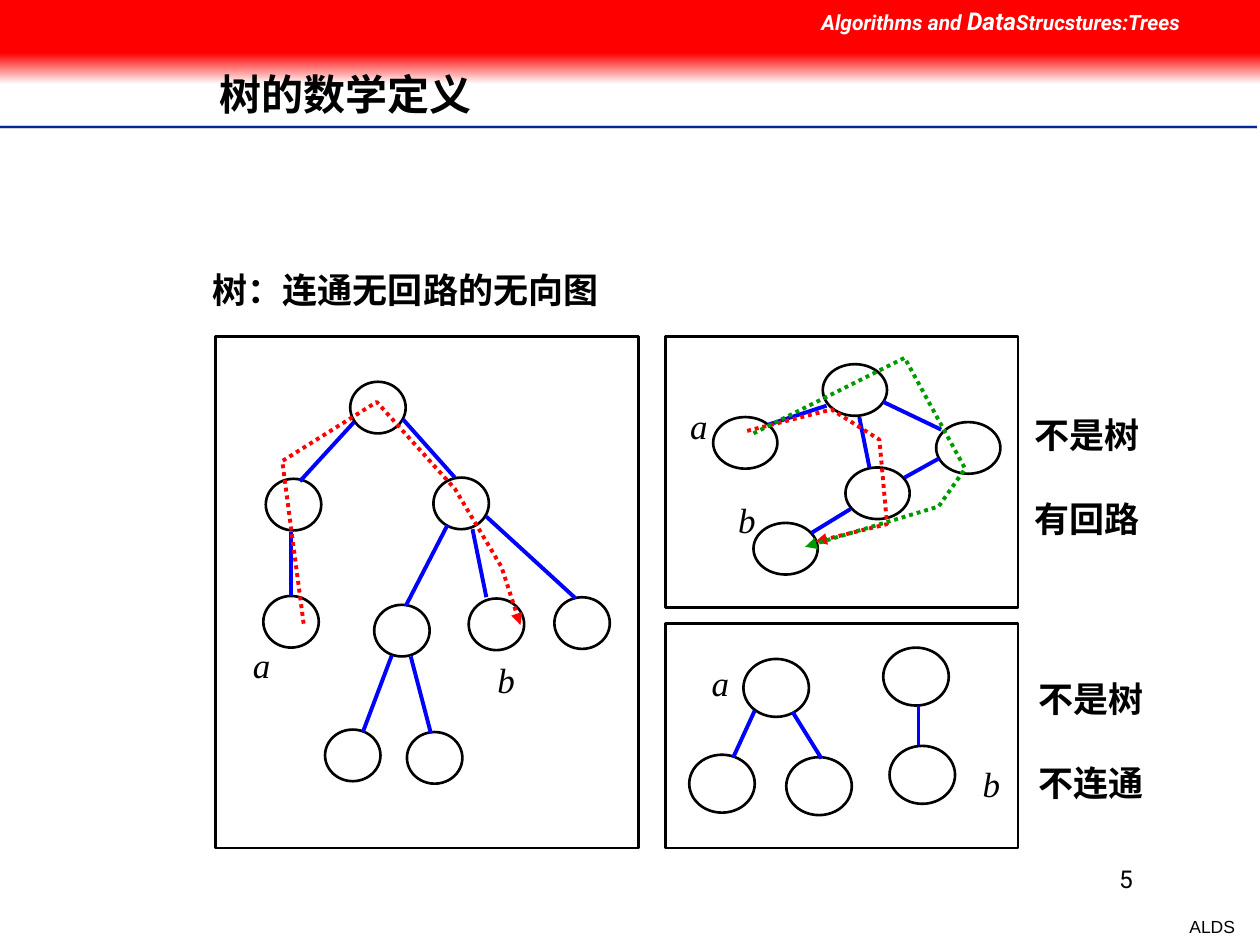
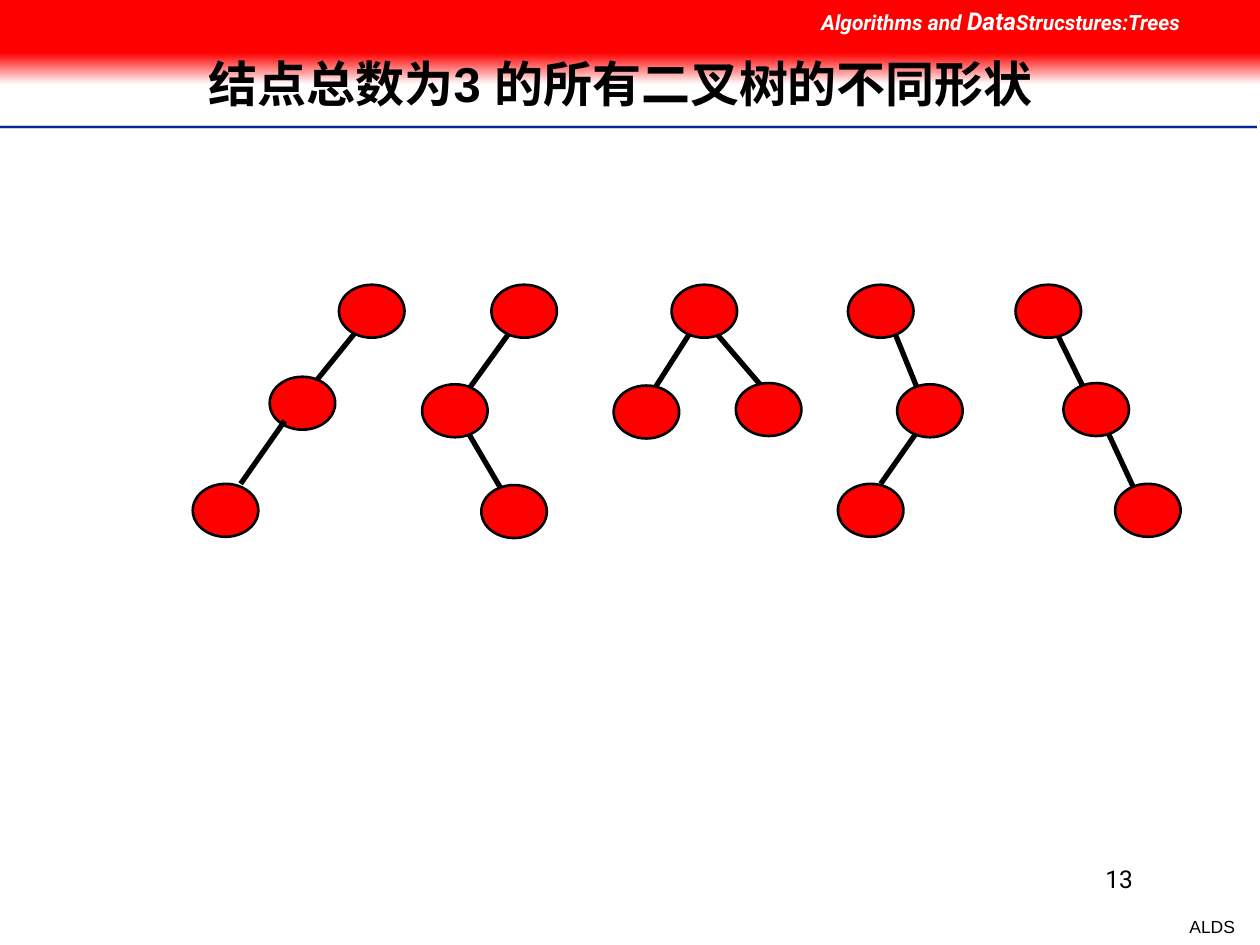
from dataclasses import dataclass
from typing import NamedTuple

from lxml.etree import SubElement
from pptx import Presentation
from pptx.dml.color import RGBColor
from pptx.enum.dml import MSO_LINE
from pptx.enum.shapes import MSO_CONNECTOR as Link, MSO_SHAPE as Preset
from pptx.enum.text import MSO_ANCHOR as Anchor, MSO_AUTO_SIZE as AutoSize, PP_ALIGN as Align
from pptx.oxml.ns import qn
from pptx.util import Cm, Pt

BLACK, WHITE, RED, BLUE, GREEN = "000000", "FFFFFF", "FF0000", "0000FF", "009900"
RULE_BLUE, RULE_GREY = "00279F", "CECECE"
SANS, SERIF, HEADER_FONT = "Arial", "Times New Roman", "Roboto"
WIDTH, HEIGHT = 10, 7.5

Point = tuple[float, float]
Box = tuple[float, float, float, float]


class Edge(NamedTuple):
    x1: float
    y1: float
    x2: float
    y2: float


class Run(NamedTuple):
    text: str
    size: float


@dataclass
class Label:
    box: Box
    lines: list[list[Run]]
    font: str = SANS
    color: str = BLACK
    bold: bool = False
    italic: bool = False
    align: Align = Align.LEFT
    anchor: Anchor = Anchor.TOP
    wrap: bool = True
    grow: bool = False
    inset: Point = (0.1, 0.05)
    line_spacing: float | None = None
    gap: float = 0


@dataclass
class Graph:
    node_size: Point
    nodes: list[Point]
    edges: list[Edge]
    edge_color: str = BLUE
    edge_width: float = 2.25
    node_fill: str | None = None


@dataclass
class Walk:
    color: str
    points: list[Point]


def rgb(color: str) -> RGBColor:
    return RGBColor.from_string(color)


def inch(value: float) -> Cm:
    return Cm(value * 2.54)


# Drawing helpers
def draw_shape(slide, preset: Preset, box: Box, fill: str | None = None,
               outline: str | None = BLACK):
    shape = slide.shapes.add_shape(preset, *map(inch, box))
    shape.shadow.inherit = False
    if fill:
        shape.fill.solid()
        shape.fill.fore_color.rgb = rgb(fill)
    else:
        shape.fill.background()
    if outline:
        shape.line.color.rgb = rgb(outline)
        shape.line.width = Pt(1.5)
    else:
        shape.line.fill.background()
    return shape


def draw_edge(slide, edge: Edge, color: str, width: float) -> None:
    line = slide.shapes.add_connector(Link.STRAIGHT, *map(inch, edge))
    line.line.color.rgb = rgb(color)
    line.line.width = Pt(width)
    SubElement(line._element.spPr, qn("a:effectLst"))


def draw_label(slide, label: Label) -> None:
    frame = slide.shapes.add_textbox(*map(inch, label.box)).text_frame
    frame.word_wrap = label.wrap
    frame.auto_size = AutoSize.SHAPE_TO_FIT_TEXT if label.grow else AutoSize.NONE
    frame.vertical_anchor = label.anchor
    frame.margin_left = frame.margin_right = inch(label.inset[0])
    frame.margin_top = frame.margin_bottom = inch(label.inset[1])
    for index, runs in enumerate(label.lines):
        paragraph = frame.add_paragraph() if index else frame.paragraphs[0]
        paragraph.alignment = label.align
        if label.line_spacing:
            paragraph.line_spacing = label.line_spacing
        if index:
            paragraph.space_before = Pt(label.gap)
        font = paragraph.font
        font.name, font.bold, font.italic = label.font, label.bold, label.italic
        font.color.rgb = rgb(label.color)
        same_size = len({run.size for run in runs}) == 1
        if same_size:
            font.size = Pt(runs[0].size)
        for text, size in runs:
            run = paragraph.add_run()
            run.text = text
            if not same_size:
                run.font.size = Pt(size)


def draw_nodes(slide, graph: Graph) -> None:
    for node in graph.nodes:
        draw_shape(slide, Preset.OVAL, (*node, *graph.node_size), graph.node_fill)


def draw_edges(slide, graph: Graph) -> None:
    for edge in graph.edges:
        draw_edge(slide, edge, graph.edge_color, graph.edge_width)


def draw_walk(slide, walk: Walk) -> None:
    start, *rest = [(inch(x), inch(y)) for x, y in walk.points]
    builder = slide.shapes.build_freeform(*start)
    builder.add_line_segments(rest, close=False)
    route = builder.convert_to_shape()
    route.shadow.inherit = False
    route.fill.background()
    route.line.color.rgb = rgb(walk.color)
    route.line.width = Pt(2.25)
    route.line.dash_style = MSO_LINE.ROUND_DOT
    SubElement(route.line._get_or_add_ln(), qn("a:tailEnd"), type="triangle")


def letter(text: str, left: float, top: float) -> Label:
    return Label((left, top, 0.34, 0.44), [[Run(text, 20)]], font=SERIF,
                 italic=True, wrap=False, grow=True)


def verdict(left: float, top: float, *lines: str) -> Label:
    return Label((left, top, 1.1, 1.1), [[Run(line, 20)] for line in lines],
                 font=SERIF, bold=True, grow=True, gap=24)


def title(text: str, box: Box, size: float, inset: Point) -> Label:
    return Label(box, [[Run(text, size)]], bold=True, anchor=Anchor.MIDDLE,
                 inset=inset, line_spacing=0.9)


# Rules, footer, page number and header band shared by all slides
def add_base_slide(deck, number: int):
    slide = deck.slides.add_slide(deck.slide_layouts[6])
    for y, color, width in ((1.01, RULE_GREY, 2), (1.01, RULE_BLUE, 1), (1.03, WHITE, 1)):
        draw_edge(slide, Edge(0, y, 9.98, y), color, width)
    draw_label(slide, Label((9.34, 7.22, 0.56, 0.27), [[Run("ALDS", 10)]],
                            align=Align.RIGHT, wrap=False, grow=True))
    draw_label(slide, Label((7.17, 6.81, 1.92, 0.5), [[Run(str(number), 14)]],
                            font=HEADER_FONT, align=Align.RIGHT))
    fade = draw_shape(slide, Preset.RECTANGLE, (0, 0.42, WIDTH, 0.25), outline=None).fill
    fade.gradient()
    fade.gradient_angle = 270
    for stop, color in zip(fade.gradient_stops, (RED, WHITE)):
        stop.color.rgb = rgb(color)
    draw_shape(slide, Preset.RECTANGLE, (0, 0, WIDTH, 0.42), RED, outline=None)
    course = [Run("Algorithms and ", 12), Run("Data", 14), Run("Strucstures:Trees", 12)]
    draw_label(slide, Label((6.42, 0, 3.58, 0.34), [course], font=HEADER_FONT,
                            color=WHITE, bold=True, italic=True, grow=True))
    return slide


# Definition slide: a tree, a graph with a cycle, a disconnected graph
TREE = Graph(
    (0.44, 0.41),
    [(2.78, 3.03), (2.11, 3.8), (3.44, 3.79), (2.09, 4.73), (2.97, 4.8),
     (2.58, 5.79), (3.72, 4.75), (4.4, 4.74), (3.23, 5.81)],
    [Edge(2.81, 3.35, 2.38, 3.82), Edge(2.31, 4.22, 2.31, 4.73),
     Edge(3.2, 3.33, 3.61, 3.79), Edge(3.55, 4.17, 3.22, 4.81),
     Edge(3.75, 4.2, 3.86, 4.74), Edge(3.86, 4.1, 4.57, 4.75),
     Edge(3.26, 5.21, 3.42, 5.82), Edge(3.11, 5.2, 2.88, 5.81)])
CYCLIC = Graph(
    (0.51, 0.41),
    [(6.53, 2.89), (5.66, 3.31), (7.43, 3.35), (5.98, 4.15), (6.71, 3.71)],
    [Edge(6.56, 3.22, 6.1, 3.37), Edge(6.75, 4.04, 6.44, 4.23),
     Edge(7.01, 3.19, 7.47, 3.41), Edge(6.82, 3.31, 6.9, 3.71),
     Edge(7.45, 3.64, 7.18, 3.79)])
DISCONNECTED = Graph(
    (0.52, 0.46),
    [(5.9, 5.23), (5.47, 5.99), (7.01, 5.14), (7.06, 5.92), (6.24, 6.01)],
    [Edge(7.29, 5.6, 7.29, 5.91), Edge(6.29, 5.65, 6.52, 6.02),
     Edge(5.99, 5.64, 5.82, 6.01)])
FRAMES = [(1.71, 2.67, 3.36, 4.06), (5.28, 2.67, 2.8, 2.15), (5.28, 4.95, 2.8, 1.78)]
WALKS = [
    Walk(RED, [(2.41, 4.95), (2.24, 3.66), (2.99, 3.19), (3.61, 3.88),
               (3.98, 4.5), (4.13, 4.96)]),
    Walk(RED, [(5.93, 3.42), (6.6, 3.25), (6.98, 3.49), (7.04, 4.16), (6.47, 4.3)]),
    Walk(GREEN, [(5.98, 3.44), (7.18, 2.84), (7.66, 3.72), (7.45, 4.02), (6.39, 4.34)]),
]
DEFINITION_LABELS = [
    letter("a", 5.38, 3.16), letter("b", 5.76, 3.91),
    verdict(8.11, 3.23, "不是树", "有回路"),
    letter("a", 5.55, 5.2), letter("b", 7.7, 6),
    verdict(8.14, 5.33, "不是树", "不连通"),
    letter("a", 1.91, 5.06), letter("b", 3.85, 5.18),
    title("树的数学定义", (1.74, 0.4, 7.83, 0.74), 24, (0, 0)),
    Label((1.59, 2.08, 3.33, 0.94), [[Run("树：连通无回路的无向图", 20)]],
          bold=True, grow=True),
]

# Five shapes of a binary tree with three nodes, left to right
BINARY_TREES = Graph(
    (0.52, 0.42),
    [(2.69, 2.26), (2.14, 2.99), (1.53, 3.84),
     (3.9, 2.26), (3.35, 3.05), (3.82, 3.85),
     (5.33, 2.26), (4.87, 3.06), (5.84, 3.04),
     (6.73, 2.26), (7.12, 3.05), (6.65, 3.84),
     (8.06, 2.26), (8.44, 3.04), (8.85, 3.84)],
    [Edge(2.52, 3.01, 2.86, 2.59),
     Edge(3.69, 3.13, 4.08, 2.59), Edge(4, 3.92, 3.66, 3.34),
     Edge(5.14, 3.17, 5.51, 2.59), Edge(6.04, 3.06, 5.68, 2.64),
     Edge(7.08, 2.59, 7.32, 3.18), Edge(6.99, 3.84, 7.34, 3.34),
     Edge(8.36, 2.59, 8.65, 3.18), Edge(9.02, 3.92, 8.75, 3.34)],
    edge_color=BLACK, edge_width=3, node_fill=RED)
FRONT_EDGE = Edge(1.91, 3.84, 2.26, 3.34)


def add_definition_slide(deck) -> None:
    slide = add_base_slide(deck, 5)
    for graph, frame in zip((TREE, CYCLIC, DISCONNECTED), FRAMES):
        draw_nodes(slide, graph)
        draw_edges(slide, graph)
        draw_shape(slide, Preset.RECTANGLE, frame)
    for walk in WALKS:
        draw_walk(slide, walk)
    for label in DEFINITION_LABELS:
        draw_label(slide, label)


def add_binary_trees_slide(deck) -> None:
    slide = add_base_slide(deck, 13)
    draw_edges(slide, BINARY_TREES)
    draw_nodes(slide, BINARY_TREES)
    draw_edge(slide, FRONT_EDGE, BINARY_TREES.edge_color, BINARY_TREES.edge_width)
    draw_label(slide, title("结点总数为3 的所有二叉树的不同形状",
                            (1.56, 0.32, 7.55, 0.74), 28, (0.1, 0.05)))


def main() -> None:
    deck = Presentation()
    deck.slide_width, deck.slide_height = inch(WIDTH), inch(HEIGHT)
    add_definition_slide(deck)
    add_binary_trees_slide(deck)
    deck.save("out.pptx")


if __name__ == "__main__":
    main()
